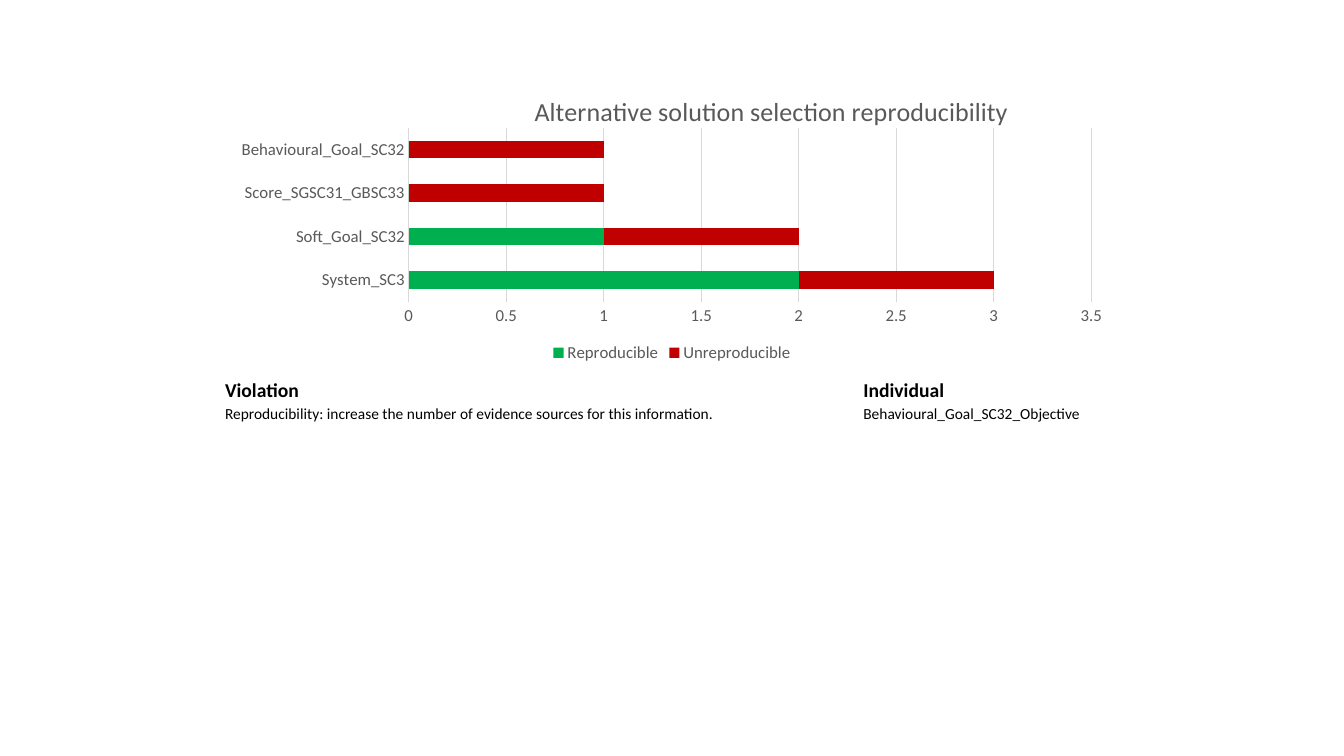
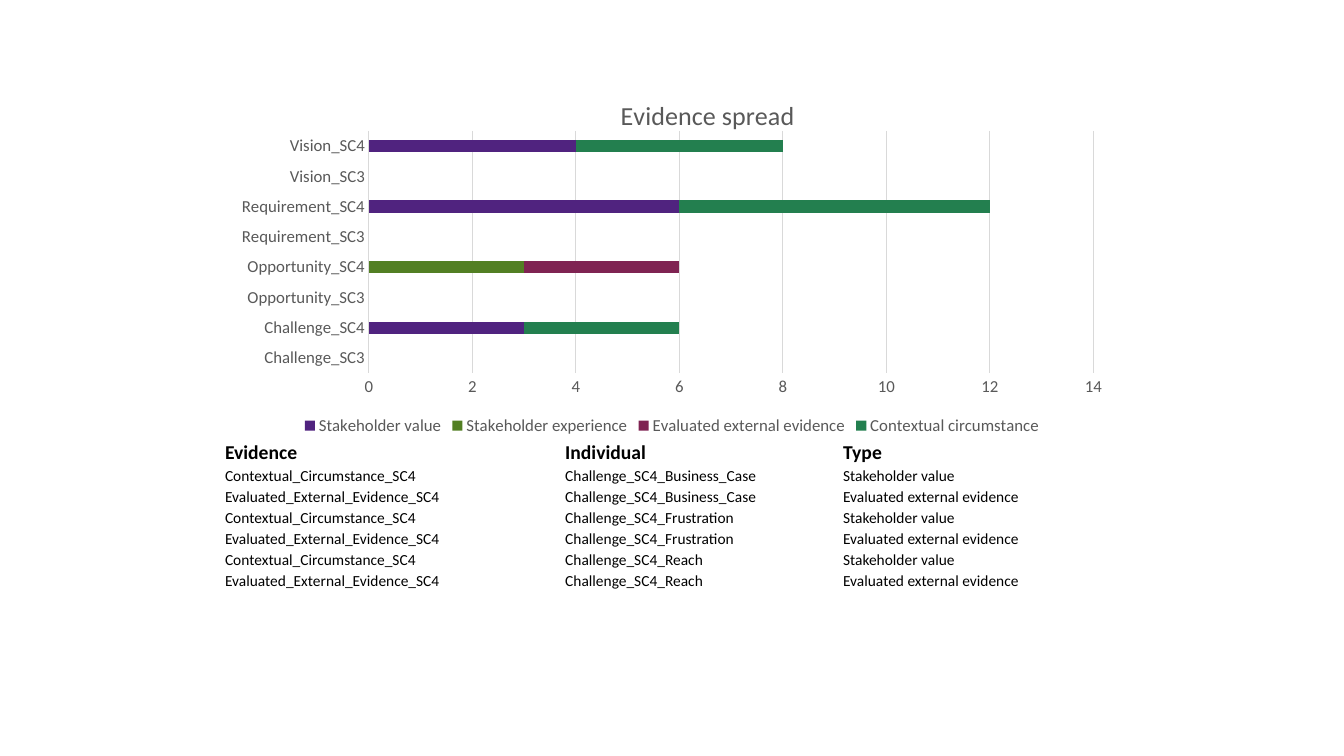
"""Build two slides, each with a stacked bar chart above a plain table."""
from dataclasses import dataclass

from lxml.etree import SubElement
from pptx import Presentation
from pptx.chart.data import CategoryChartData
from pptx.dml.color import RGBColor
from pptx.enum.chart import XL_CHART_TYPE as ChartType
from pptx.enum.chart import XL_LEGEND_POSITION as LegendPosition
from pptx.enum.chart import XL_TICK_MARK as TickMark
from pptx.enum.text import MSO_ANCHOR as Anchor
from pptx.oxml.ns import qn
from pptx.util import Pt


@dataclass(frozen=True)
class Theme:
    """Colours, type sizes and the shared frame, in points."""
    font: str = "Calibri"
    ink: str = "000000"
    grey: str = "595959"
    rule: str = "D9D9D9"
    title_size: float = 18.6
    label_size: float = 12
    header_size: float = 14
    body_size: float = 11
    left: float = 160
    top: float = 49
    width: float = 640
    row_height: float = 15
    cell_margin: float = 0.75
    line_width: float = 0.75


THEME = Theme()

REPRODUCIBILITY = {
    "title": "Alternative solution selection reproducibility",
    "categories": ["System_SC3", "Soft_Goal_SC32", "Score_SGSC31_GBSC33",
                   "Behavioural_Goal_SC32"],
    "series": [("Reproducible", "00B050", [2, 1, 0, 0]),
               ("Unreproducible", "C00000", [1, 1, 1, 1])],
    "height": 213,
    "scale": (3.5, 0.5),
    "title_at": (218.5, 14),
    "plot_at": (132, 42.5, 487.5, 124),
}
VIOLATIONS = [
    ("Violation", "Individual"),
    ("Reproducibility: increase the number of evidence sources for this information.",
     "Behavioural_Goal_SC32_Objective"),
]

PAIRED = [None, 3, None, None, None, 6, None, 4]
OPPORTUNITY_ONLY = [None, None, None, 3, None, None, None, None]
EVIDENCE_SPREAD = {
    "title": "Evidence spread",
    "categories": [f"{topic}_{case}"
                   for topic in ("Challenge", "Opportunity", "Requirement", "Vision")
                   for case in ("SC3", "SC4")],
    "series": [("Stakeholder value", "50237F", PAIRED),
               ("Stakeholder experience", "527F23", OPPORTUNITY_ONLY),
               ("Evaluated external evidence", "7F2352", OPPORTUNITY_ONLY),
               ("Contextual circumstance", "237F4F", PAIRED)],
    "height": 265,
    "scale": (14, 2),
    "title_at": (280, 17),
    "plot_at": (103.5, 44.5, 517.5, 173),
}
EVIDENCE = [("Evidence", "Individual", "Type")] + [
    (source, f"Challenge_SC4_{individual}", kind)
    for individual in ("Business_Case", "Frustration", "Reach")
    for source, kind in (
        ("Contextual_Circumstance_SC4", "Stakeholder value"),
        ("Evaluated_External_Evidence_SC4", "Evaluated external evidence"))
]


def style_font(font, size, colour, bold=False):
    """Give a font the theme typeface with a size, colour and weight."""
    font.name = THEME.font
    font.size = Pt(size)
    font.bold = bold
    font.color.rgb = RGBColor.from_string(colour)


def style_line(line):
    """Make a line thin and light grey."""
    line.width = Pt(THEME.line_width)
    line.color.rgb = RGBColor.from_string(THEME.rule)


def set_layout(holder, index, bounds, chart_height, inner=False):
    """Fix a chart part at bounds given in points from the chart corner."""
    for old in holder.findall(qn("c:layout")):
        holder.remove(old)
    layout = holder.makeelement(qn("c:layout"))
    holder.insert(index, layout)
    manual = SubElement(layout, qn("c:manualLayout"))
    if inner:
        SubElement(manual, qn("c:layoutTarget")).set("val", "inner")
    for name in ("xMode", "yMode"):
        SubElement(manual, qn(f"c:{name}")).set("val", "edge")
    for name, length in zip("xywh", bounds):
        extent = THEME.width if name in "xw" else chart_height
        SubElement(manual, qn(f"c:{name}")).set("val", f"{length / extent:.4f}")


def style_axes(chart, scale):
    """Style both axes and set the maximum and step of the values."""
    for axis in (chart.category_axis, chart.value_axis):
        axis.major_tick_mark = axis.minor_tick_mark = TickMark.NONE
        style_font(axis.tick_labels.font, THEME.label_size, THEME.grey)
    style_line(chart.category_axis.format.line)
    values = chart.value_axis
    values.format.line.fill.background()
    values.minimum_scale = 0
    values.maximum_scale, values.major_unit = scale
    values.has_major_gridlines = True
    style_line(values.major_gridlines.format.line)


def add_bars(page, content):
    """Add a stacked bar chart with its title and legend."""
    data = CategoryChartData()
    data.categories = content["categories"]
    for name, _, values in content["series"]:
        data.add_series(name, values)
    height = content["height"]
    chart = page.shapes.add_chart(
        ChartType.BAR_STACKED, Pt(THEME.left), Pt(THEME.top),
        Pt(THEME.width), Pt(height), data).chart
    chart.font.name = THEME.font

    chart.has_title = True
    title = chart.chart_title
    title.include_in_layout = False
    para = title.text_frame.paragraphs[0]
    para.text = content["title"]
    style_font(para.runs[0].font, THEME.title_size, THEME.grey)
    set_layout(title.format.element if hasattr(title.format, "element")
               else chart.element.find(".//" + qn("c:title")),
               1, content["title_at"], height)
    set_layout(chart.element.find(".//" + qn("c:plotArea")),
               0, content["plot_at"], height, inner=True)

    chart.has_legend = True
    chart.legend.position = LegendPosition.BOTTOM
    chart.legend.include_in_layout = False
    style_font(chart.legend.font, THEME.label_size, THEME.grey)

    plot = chart.plots[0]
    plot.gap_width, plot.overlap = 150, 100
    plot.vary_by_categories = False
    for series, (_, colour, _) in zip(plot.series, content["series"]):
        series.format.fill.solid()
        series.format.fill.fore_color.rgb = RGBColor.from_string(colour)
    style_axes(chart, content["scale"])


def fill_cell(cell, text, is_header):
    """Write one unfilled cell with its text at the bottom."""
    cell.fill.background()
    cell.vertical_anchor = Anchor.BOTTOM
    cell.margin_left = cell.margin_right = cell.margin_top = Pt(THEME.cell_margin)
    cell.margin_bottom = 0
    cell.text_frame.text = text
    size = THEME.header_size if is_header else THEME.body_size
    style_font(cell.text_frame.paragraphs[0].runs[0].font, size, THEME.ink, is_header)


def add_listing(page, top, widths, rows):
    """Add a plain table whose first row is a bold header."""
    table = page.shapes.add_table(
        len(rows), len(widths), Pt(THEME.left), Pt(top),
        Pt(THEME.width), Pt(THEME.row_height * len(rows))).table
    table.first_row = table.horz_banding = False
    for column, width in zip(table.columns, widths):
        column.width = Pt(width)
    for row_index, texts in enumerate(rows):
        table.rows[row_index].height = Pt(THEME.row_height)
        for column_index, text in enumerate(texts):
            fill_cell(table.cell(row_index, column_index), text, row_index == 0)


def main():
    """Build and save the deck."""
    deck = Presentation()
    deck.slide_width, deck.slide_height = Pt(960), Pt(540)
    for content, top, widths, rows in (
            (REPRODUCIBILITY, 270, (456, 184), VIOLATIONS),
            (EVIDENCE_SPREAD, 314, (243, 198.5, 198.5), EVIDENCE)):
        page = deck.slides.add_slide(deck.slide_layouts[6])
        add_bars(page, content)
        add_listing(page, top, widths, rows)
    deck.save("out.pptx")


main()
